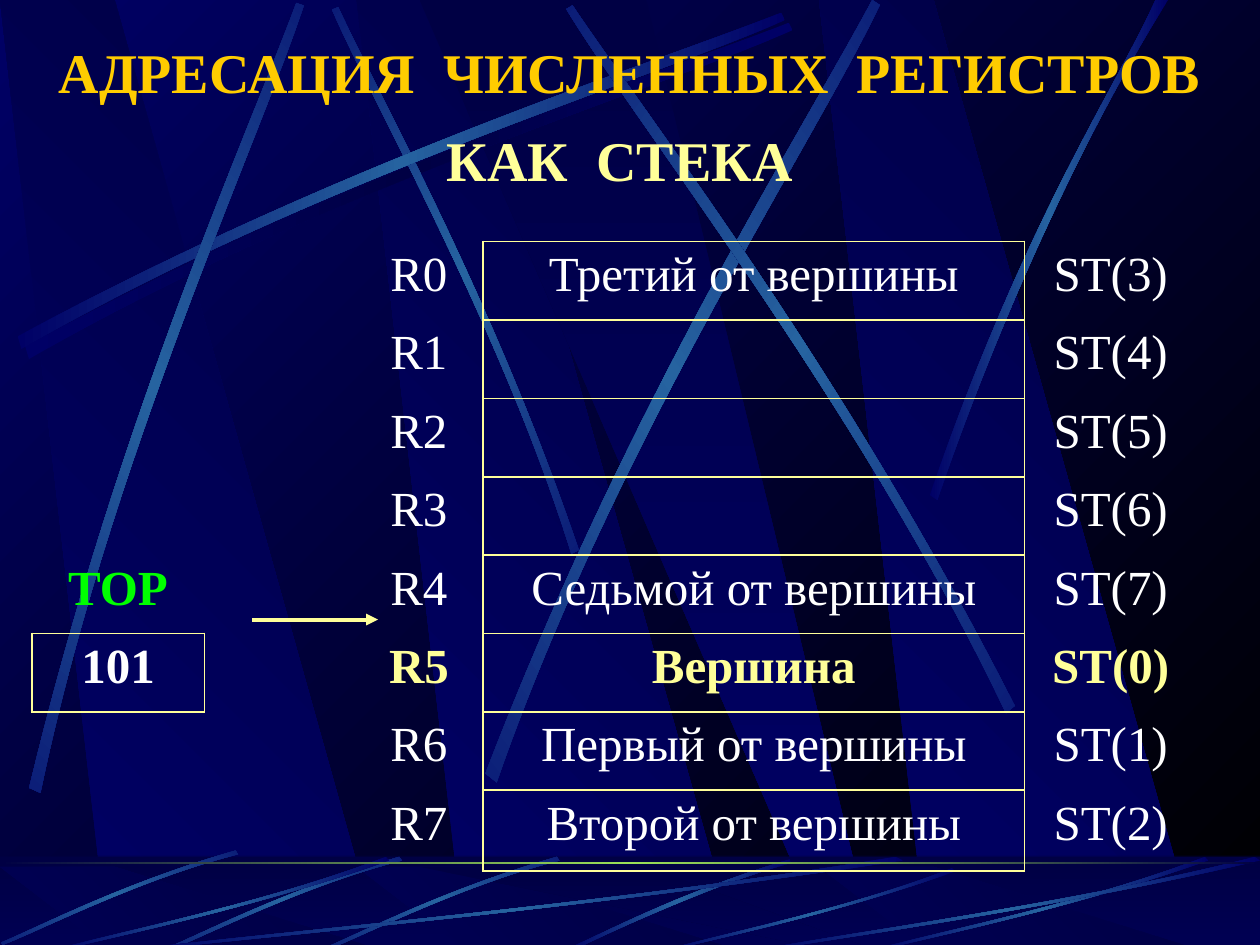
import copy
import math

import pptx
import pptx.dml.color
import pptx.enum.dml
import pptx.enum.shapes
import pptx.enum.text
import pptx.oxml
import pptx.oxml.ns
import pptx.util

Cm = pptx.util.Cm
Pt = pptx.util.Pt
qn = pptx.oxml.ns.qn
rgb = pptx.dml.color.RGBColor.from_string
RECTANGLE = pptx.enum.shapes.MSO_SHAPE.RECTANGLE
CENTER = pptx.enum.text.PP_ALIGN.CENTER

NAVY, DEEP, BLUE, GOLD, CREAM, WHITE = "000066", "000044", "2663A0", "FFCC00", "FFFF99", "FFFFFF"
GLOW = (NAVY, BLUE, NAVY)
SERIF = "Times New Roman"
UNIT = Cm(2.54)

deck = pptx.Presentation()
deck.slide_width, deck.slide_height = Cm(25.4), Cm(19.05)
slide = deck.slides.add_slide(deck.slide_layouts[6])
shapes = slide.shapes


def paint(shape, colours, angle):
    shape.shadow.inherit = False
    shape.line.fill.background()
    shape.fill.gradient()
    shape.fill.gradient_angle = -angle % 360
    stop_list = next(shape._element.iter(qn("a:gsLst")))
    for _ in colours[2:]:
        stop_list.append(copy.deepcopy(stop_list[0]))
    for index, (stop, colour) in enumerate(zip(shape.fill.gradient_stops, colours)):
        stop.position = index / (len(colours) - 1)
        stop.color.rgb = rgb(colour)


def outline(points, colours, angle, turn=0, centre=(0, 0), curved=False):
    cos, sin = math.cos(math.radians(turn)), math.sin(math.radians(turn))
    cx, cy = centre
    points = [(UNIT * (cx + (x - cx) * cos + (y - cy) * sin),
               UNIT * (cy + (y - cy) * cos - (x - cx) * sin)) for x, y in points]
    builder = shapes.build_freeform(*points[0])
    builder.add_line_segments(points[1:], close=True)
    shape = builder.convert_to_shape()
    shape.rotation = turn
    if curved:
        lines = list(shape._element.iter(qn("a:lnTo")))
        for first, second, last in (lines[:3], lines[4:7]):
            curve = first.makeelement(qn("a:cubicBezTo"), {})
            first.addprevious(curve)
            for line in (first, second, last):
                curve.append(line[0])
                line.getparent().remove(line)
    paint(shape, colours, angle)


slide.background.fill.gradient()
slide.background.fill.gradient_angle = 315
for stop, colour in zip(slide.background.fill.gradient_stops, (NAVY, "000000")):
    stop.color.rgb = rgb(colour)

long_streak = [(0.14, 2.67), (2.78, 1.25), (5.18, 0.51), (6.2, 0.1),
               (6.23, 0.16), (5.22, 0.61), (2.48, 1.43), (0.17, 2.77)]
sky_streaks = [
    ([(x + 0.06, y + 0.08) for x, y in long_streak], 0, (0, 0), (NAVY, DEEP, NAVY)),
    ([(4.6, 4.36), (3.91, 2.34), (3.02, 0.77), (2.69, 0.05),
      (2.64, 0.07), (2.95, 0.79), (3.98, 2.58), (4.54, 4.39)], 45, (3.62, 2.23), GLOW),
    (long_streak, 0, (0, 0), GLOW),
    ([(0.23, 6.25), (0.93, 3.34), (1.97, 1.05), (2.35, 0.02),
      (2.41, 0.04), (2.07, 1.08), (0.86, 3.68), (0.32, 6.29)], 311.7, (1.33, 3.16), GLOW),
    ([(3.85, 6.14), (4.98, 3.2), (6.38, 1.02), (6.92, 0),
      (6.98, 0.04), (6.49, 1.08), (4.86, 3.55), (3.94, 6.21)], 321.6, (5.43, 3.11), GLOW),
    ([(8.06, 5.6), (6.7, 2.93), (5.16, 0.95), (4.55, 0.04),
      (4.5, 0.07), (5.07, 1.01), (6.85, 3.25), (7.99, 5.66)], 34.8, (6.27, 2.86), GLOW),
    ([(7.38, 3.93), (8.14, 1.73), (8.88, 0.66), (9.17, 0),
      (9.27, 0), (8.36, 1.45), (7.69, 3.22), (7.44, 3.97)], 0, (0, 0), GLOW),
]

floor_streaks = [
    ([(6.27, 6.82), (5.37, 7.09), (4.77, 7.42), (4.48, 7.54),
      (4.53, 7.55), (4.9, 7.37), (5.71, 7), (6.28, 6.85)], 0, (0, 0), GLOW),
]
short_streak = [(4.42, 6.8), (3.55, 7.05), (2.87, 7.4), (2.56, 7.53),
                (2.57, 7.55), (2.88, 7.43), (3.65, 7.03), (4.44, 6.83)]
for dx, dy in ((0, 0), (-1.25, 0), (-2.55, -0.05)):
    floor_streaks.append(([(x + dx, y + dy) for x, y in short_streak], 314.9,
                          (3.5 + dx, 7.18 + dy), GLOW))
flat_streak = [(1, 0.04), (0.57, 0.57), (0.17, 0.85), (0.01, 1),
               (0, 0.99), (0.17, 0.81), (0.62, 0.51), (0.99, 0)]
for left, top, width in ((1, 6.8, 6.17), (0.42, 6.8, 2.67), (5.27, 6.89, 2.31),
                         (6.92, 6.8, 2.67), (6, 6.8, 4)):
    floor_streaks.append(([(left + x * width, top + y * (7.55 - top)) for x, y in flat_streak],
                          0, (0, 0), GLOW))

wide_pane = [(0.86, 1), (3.02, 1), (0.91, 0), (0, 0)]
narrow_pane = [(3.33, 0), (6.58, 1), (6.94, 1), (5.13, 0)]
for top, height, streaks in ((0, 7.52, sky_streaks), (6.88, 0.66, floor_streaks)):
    on_floor = streaks is floor_streaks
    if on_floor:
        floor = shapes.add_shape(RECTANGLE, 0, Cm(17.27), Cm(25.4), Cm(1.9))
        paint(floor, (DEEP, NAVY), 90)
    for left in (2.83, 0, 6.5):
        outline([(left + x, top + y * height) for x, y in wide_pane], (NAVY, DEEP), 315)
    outline([(x, top + y * height) for x, y in narrow_pane], (DEEP, NAVY), 90)
    if on_floor:
        veil = shapes.add_shape(RECTANGLE, 0, Cm(17.25), Cm(25.4), Cm(1.9))
        veil.shadow.inherit = False
        veil.line.fill.background()
        veil.fill.solid()
        veil.fill.fore_color.rgb = rgb(DEEP)
        tint = next(veil._element.iter(qn("a:srgbClr")))
        tint.append(tint.makeelement(qn("a:alpha"), {"val": "50000"}))
    for points, turn, centre, colours in streaks:
        outline(points, colours, 0, turn, centre, curved=True)

horizon = shapes.add_shape(RECTANGLE, 0, Cm(17.37), Cm(25.4), Cm(0.05))
paint(horizon, (DEEP, "9CE157", DEEP), 0)

title = shapes.add_textbox(0, Cm(0.62), Cm(25.4), Cm(3.48)).text_frame
title.word_wrap = True
title.vertical_anchor = pptx.enum.text.MSO_ANCHOR.MIDDLE
heading = title.paragraphs[0]
heading.alignment = CENTER
for words, size, font, colour, bold in (
        ("АДРЕСАЦИЯ  ЧИСЛЕННЫХ  РЕГИСТРОВ ", 32, SERIF, GOLD, True),
        ("КАК  СТЕКА", 32, SERIF, CREAM, True),
        (" ", 44, "Montserrat", GOLD, False)):
    run = heading.add_run()
    run.text = words
    run.font.size, run.font.name, run.font.bold = Pt(size), font, bold
    run.font.color.rgb = rgb(colour)

stack = ["Третий от вершины", "", "", "", "Седьмой от вершины", "Вершина",
         "Первый от вершины", "Второй от вершины"]
TOP = 5
registers = shapes.add_table(8, 5, Cm(0.64), Cm(4.87), Cm(23.49), Cm(12.69)).table
registers.first_row = registers.horz_banding = False
style = next(registers._tbl.iter(qn("a:tableStyleId")))
style.text = "{2D5ABB26-0587-4C30-8999-92F81FD0307C}"
for column, width in zip(registers.columns, (3.48, 3.03, 2.59, 10.91, 3.48)):
    column.width = Cm(width)
for row in registers.rows:
    row.height = Cm(1.58)
registers.rows[7].height = Cm(1.63)

boxed = {(row, 3) for row in range(8)} | {(TOP, 0)}
sides = (("L", 0, -1), ("R", 0, 1), ("T", -1, 0), ("B", 1, 0))
for r, contents in enumerate(stack):
    pointer = {TOP - 1: "TOP", TOP: "101"}.get(r, "")
    for c, words in enumerate((pointer, "", f"R{r}", contents, f"ST({(r - TOP) % 8})")):
        cell = registers.cell(r, c)
        cell.fill.background()
        properties = cell._tc.get_or_add_tcPr()
        for place, (side, dr, dc) in enumerate(sides):
            ruled = boxed & {(r, c), (r + dr, c + dc)}
            ink = f'<a:solidFill><a:srgbClr val="{CREAM}"/></a:solidFill>' if ruled else "<a:noFill/>"
            properties.insert(place, pptx.oxml.parse_xml(
                f'<a:ln{side} {pptx.oxml.ns.nsdecls("a")} w="{Pt(1.08)}">{ink}</a:ln{side}>'))
        if words:
            label = cell.text_frame.paragraphs[0]
            label.text = words
            label.alignment = CENTER
            label.font.name, label.font.size = SERIF, Pt(28)
            label.font.bold = r == TOP or c == 0
            colour = "00FF00" if words == "TOP" else CREAM if r == TOP and c else WHITE
            label.font.color.rgb = rgb(colour)

arrow = shapes.add_connector(pptx.enum.shapes.MSO_CONNECTOR.STRAIGHT,
                             Cm(5.08), Cm(12.49), Cm(7.62), Cm(12.49))
arrow.line.width = Pt(2.25)
arrow.line.color.rgb = rgb(CREAM)
stroke = arrow.line._get_or_add_ln()
stroke.append(stroke.makeelement(qn("a:tailEnd"), {"type": "triangle"}))
arrow_look = arrow._element.spPr
arrow_look.append(arrow_look.makeelement(qn("a:effectLst"), {}))

deck.save("out.pptx")
